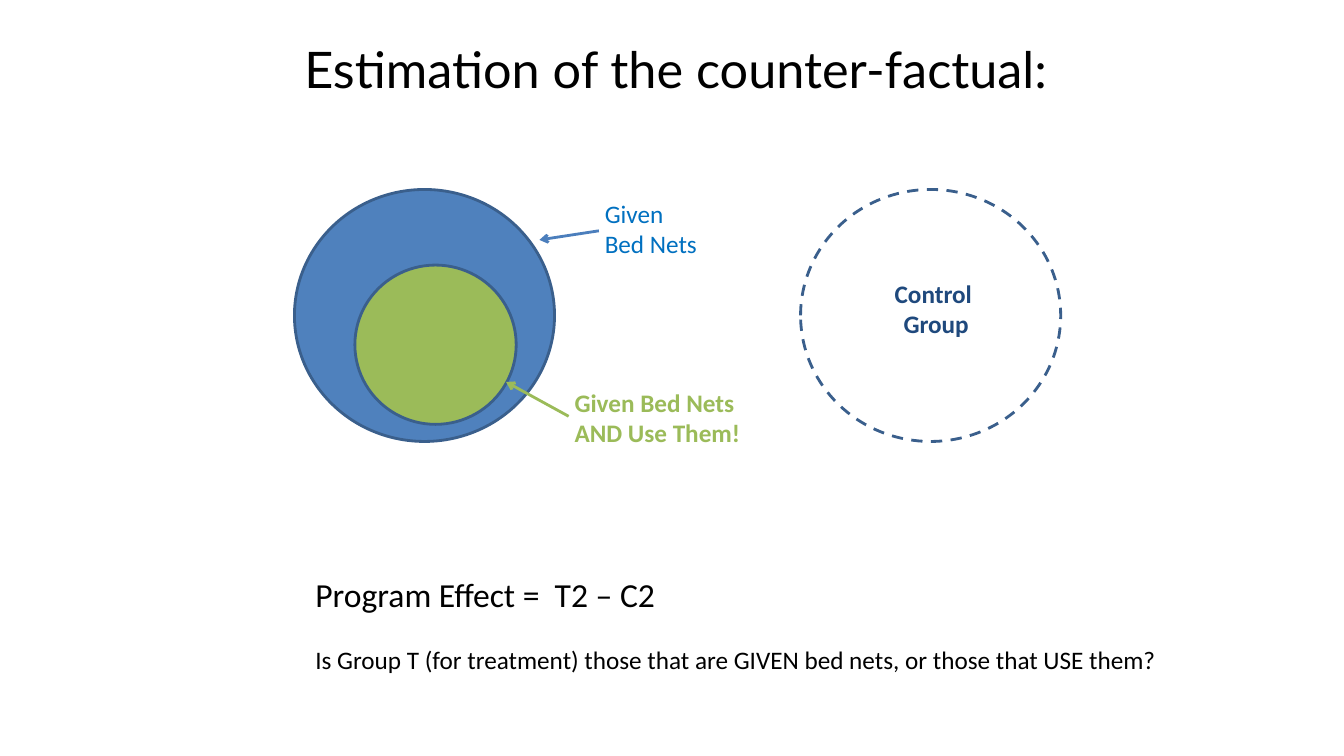
from lxml import etree
from pptx import Presentation
from pptx.dml.color import RGBColor
from pptx.enum.dml import MSO_LINE
from pptx.enum.shapes import MSO_CONNECTOR, MSO_SHAPE
from pptx.enum.text import MSO_AUTO_SIZE, PP_ALIGN
from pptx.oxml.ns import qn
from pptx.util import Inches, Pt

OVAL = MSO_SHAPE.OVAL
STRAIGHT = MSO_CONNECTOR.STRAIGHT
DASH = MSO_LINE.DASH
FIT = MSO_AUTO_SIZE.SHAPE_TO_FIT_TEXT
LEFT, CENTER = PP_ALIGN.LEFT, PP_ALIGN.CENTER

BLACK, NAVY, SKY = "000000", "1F497D", "0070C0"
BLUE, GREEN, OUTLINE, ARROW = "4F81BD", "9BBB59", "3A5F8C", "4B7EBC"


def rgb(value):
    return RGBColor.from_string(value)


def write(p, text, size=18, color=BLACK, font="Calibri", bold=False,
          align=LEFT, before=0):
    """Fill a paragraph; each newline becomes a line break."""
    p.alignment = align
    p.space_before = Pt(before)
    for i, line in enumerate(text.split("\n")):
        if i:
            p.add_line_break()
        r = p.add_run()
        r.text = line
        r.font.size = Pt(size)
        r.font.name = font
        r.font.bold = bold
        r.font.color.rgb = rgb(color)


class SlideBuilder:
    line_width = Pt(2)

    def __init__(self, prs):
        self.s = prs.slides.add_slide(prs.slide_layouts[6])

    def text(self, x, y, w, h, *paragraphs, wrap=False):
        """Add a text box; each paragraph is a (text, format) pair."""
        box = self.s.shapes.add_textbox(
            Inches(x), Inches(y), Inches(w), Inches(h))
        tf = box.text_frame
        tf.word_wrap = wrap
        tf.auto_size = FIT
        for i, (text, style) in enumerate(paragraphs):
            p = tf.add_paragraph() if i else tf.paragraphs[0]
            write(p, text, **style)

    def ellipse(self, x, y, w, h, fill=None, dash=None):
        sp = self.s.shapes.add_shape(
            OVAL, Inches(x), Inches(y), Inches(w), Inches(h))
        sp.shadow.inherit = False
        if fill:
            sp.fill.solid()
            sp.fill.fore_color.rgb = rgb(fill)
        else:
            sp.fill.background()
        sp.line.color.rgb = rgb(OUTLINE)
        sp.line.width = self.line_width
        if dash:
            sp.line.dash_style = dash

    def arrow(self, x1, y1, x2, y2, color):
        c = self.s.shapes.add_connector(
            STRAIGHT, Inches(x1), Inches(y1), Inches(x2), Inches(y2))
        c.line.color.rgb = rgb(color)
        c.line.width = self.line_width
        ln = c.line._get_or_add_ln()
        etree.SubElement(ln, qn("a:tailEnd"), type="arrow")
        etree.SubElement(c._element.spPr, qn("a:effectLst"))


def main():
    prs = Presentation()
    prs.slide_width, prs.slide_height = Inches(13.33), Inches(7.5)
    slide = SlideBuilder(prs)

    # Title
    slide.text(2.92, 0.33, 7.67, 0.71,
               ("Estimation of the counter-factual:",
                dict(size=36, font="Lato")), wrap=True)

    # Conclusion and question
    slide.text(3.03, 5.64, 8.7, 1.1,
               ("Program Effect =  T2 – C2", dict(size=24)),
               ("Is Group T (for treatment) those that are GIVEN bed nets, "
                "or those that USE them?", dict(before=22)))

    # Treatment group with the users inside it
    slide.ellipse(2.92, 1.88, 2.58, 2.5, fill=BLUE)
    slide.ellipse(3.52, 2.63, 1.6, 1.58, fill=GREEN)

    # Control group
    slide.ellipse(7.94, 1.88, 2.58, 2.5, dash=DASH)
    slide.text(8.77, 2.71, 1.03, 0.71,
               ("Control \nGroup", dict(color=NAVY, bold=True, align=CENTER)))

    # Callouts
    slide.arrow(5.94, 2.29, 5.35, 2.38, ARROW)
    slide.text(5.9, 1.92, 1.13, 0.71,
               ("Given \nBed Nets", dict(color=SKY)))
    slide.arrow(5.64, 4.13, 5.02, 3.79, GREEN)
    slide.text(5.6, 3.79, 1.86, 0.71,
               ("Given Bed Nets \nAND Use Them!",
                dict(color=GREEN, bold=True)))

    prs.save("out.pptx")


if __name__ == "__main__":
    main()
